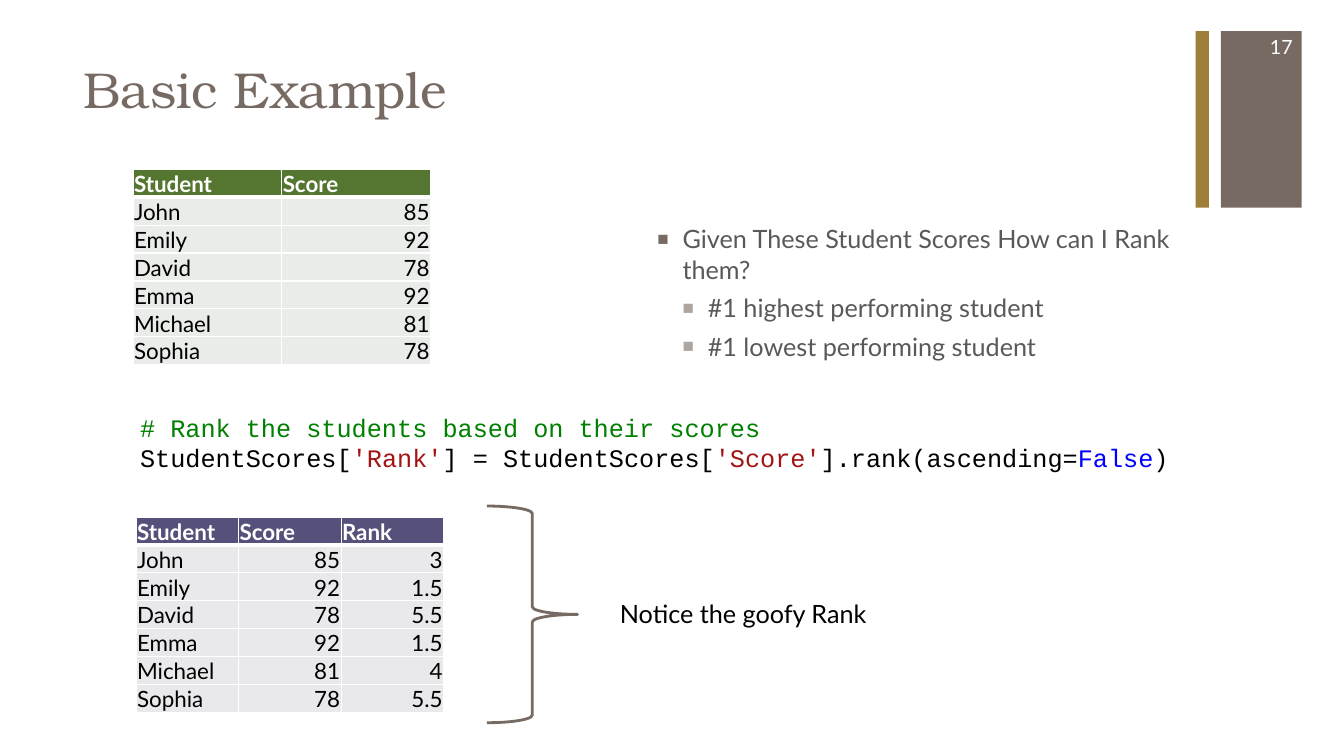
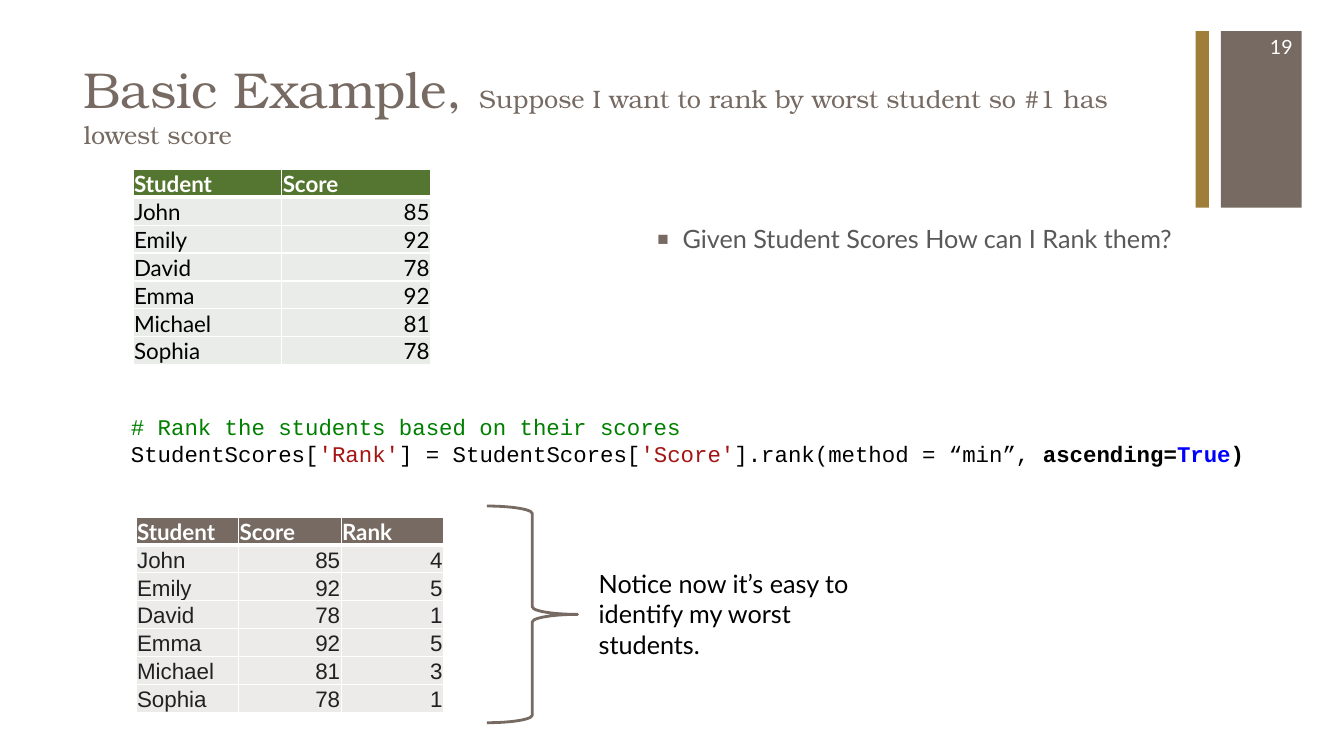
from dataclasses import dataclass

from lxml.etree import SubElement
from pptx import Presentation
from pptx.dml.color import RGBColor
from pptx.enum.shapes import MSO_SHAPE
from pptx.enum.text import MSO_ANCHOR, MSO_AUTO_SIZE, PP_ALIGN
from pptx.oxml.ns import qn
from pptx.util import Inches, Pt

# Shared palette and fonts
TAUPE, GOLD, WHITE, BLACK = "766A62", "9E7E38", "FFFFFF", "000000"
GREY, PALE_TAUPE = "595959", "AFA59F"
COMMENT, STRING, KEYWORD = "008000", "A31515", "0000FF"
BODY_FONT, TITLE_FONT, CODE_FONT = "Lato", "TeX Gyre Bonum", "Courier New"

STUDENTS = [("John", "85"), ("Emily", "92"), ("David", "78"),
            ("Emma", "92"), ("Michael", "81"), ("Sophia", "78")]


@dataclass
class Span:
    text: str
    color: str = BLACK
    bold: bool = False


@dataclass
class TableLook:
    header: str
    body: str
    font: str = BODY_FONT
    color: str = BLACK


@dataclass
class Box:
    left: float
    top: float
    width: float
    height: float

    def lengths(self) -> tuple:
        return tuple(Inches(v) for v in (self.left, self.top, self.width, self.height))


@dataclass
class Example:
    number: str
    title: list[tuple[str, int]]
    bullets: list[tuple[int, str]]
    code_box: Box
    code_size: int
    call: list[Span]
    ranks: list[str]
    rank_look: TableLook
    note_box: Box
    note: str


SCORE_LOOK = TableLook("557630", "E9ECE8")
EXAMPLES = [
    Example(
        "17", [("Basic Example", 36)],
        [(0, "Given These Student Scores How can I Rank them?"),
         (1, "#1 highest performing student"),
         (1, "#1 lowest performing student")],
        Box(1.29, 4.04, 10.82, 0.71), 18,
        [Span("].rank(ascending="), Span("False", KEYWORD), Span(")")],
        ["3", "1.5", "5.5", "1.5", "4", "5.5"], TableLook("55517B", "E9E9EC"),
        Box(6.05, 5.89, 2.8, 0.4), "Notice the goofy Rank"),
    Example(
        "19", [("Basic Example, ", 36),
               ("Suppose I want to rank by worst student so #1 has lowest score", 18)],
        [(0, "Given Student Scores How can I Rank them?")],
        Box(1.2, 4.05, 11.72, 0.64), 16,
        [Span("].rank(method = “min”, "), Span("ascending=", bold=True),
         Span("True", KEYWORD, True), Span(")", bold=True)],
        ["4", "5", "1", "5", "3", "1"], TableLook(TAUPE, "ECEBEA", "Arial", "212121"),
        Box(5.84, 5.59, 2.8, 1.01), "Notice now it’s easy to identify my worst students."),
]


def rgb(color: str) -> RGBColor:
    return RGBColor.from_string(color)


def style(r, size: float, color: str, font: str = BODY_FONT, bold: bool = False) -> None:
    r.font.size, r.font.name, r.font.bold = Pt(size), font, bold
    r.font.color.rgb = rgb(color)


def place(sp, box: Box) -> None:
    sp.left, sp.top, sp.width, sp.height = box.lengths()


def add_spans(p, spans: list[Span], size: float, font: str) -> None:
    for span in spans:
        r = p.add_run()
        r.text = span.text
        style(r, size, span.color, font, span.bold)


def add_text(slide, box: Box):
    tf = slide.shapes.add_textbox(*box.lengths()).text_frame
    tf.word_wrap = True
    return tf


def add_bands(slide, number: str) -> None:
    # Corner bands with the page number
    for left, width, color in ((12.11, 0.8, TAUPE), (11.86, 0.13, GOLD)):
        sp = slide.shapes.add_shape(MSO_SHAPE.RECTANGLE,
                                    *Box(left, 0.31, width, 1.75).lengths())
        sp.shadow.inherit = False
        sp.fill.solid()
        sp.fill.fore_color.rgb = rgb(color)
        sp.line.fill.background()
    tf = add_text(slide, Box(12.11, 0.26, 0.81, 0.4))
    tf.vertical_anchor = MSO_ANCHOR.MIDDLE
    p = tf.paragraphs[0]
    p.text, p.alignment = number, PP_ALIGN.RIGHT
    style(p.runs[0], 14, WHITE)


def fill_title(slide, parts: list[tuple[str, int]]) -> None:
    sp = slide.shapes.title
    place(sp, Box(0.73, 0.53, 11.02, 1.22))
    tf = sp.text_frame
    tf.auto_size, tf.vertical_anchor = MSO_AUTO_SIZE.NONE, MSO_ANCHOR.TOP
    p = tf.paragraphs[0]
    p.alignment = PP_ALIGN.LEFT
    for text, size in parts:
        add_spans(p, [Span(text, TAUPE)], size, TITLE_FONT)


def add_bullet(p, level: int) -> None:
    pPr = p._p.get_or_add_pPr()
    pPr.set("marL", str(Inches(0.25 * (level + 1))))
    pPr.set("indent", str(-Inches(0.25)))
    color = SubElement(pPr, qn("a:buClr"))
    SubElement(color, qn("a:srgbClr"), val=(TAUPE, PALE_TAUPE)[level])
    SubElement(pPr, qn("a:buSzPct"), val="75000")
    SubElement(pPr, qn("a:buFont"), typeface="Arial")
    SubElement(pPr, qn("a:buChar"), char="■")


def fill_body(slide, bullets: list[tuple[int, str]]) -> None:
    sp = slide.placeholders[1]
    place(sp, Box(6.42, 2.17, 5.33, 4.53))
    tf = sp.text_frame
    tf.auto_size = MSO_AUTO_SIZE.NONE
    for i, (level, text) in enumerate(bullets):
        p = tf.add_paragraph() if i else tf.paragraphs[0]
        p.text, p.level = text, level
        add_bullet(p, level)
        p.space_before = Pt(6 if i else 0)
        style(p.runs[0], 18, GREY)


def set_borders(cell, top: int, bottom: int) -> None:
    tcPr = cell._tc.get_or_add_tcPr()
    for i, (side, width) in enumerate((("L", 1), ("R", 1), ("T", top), ("B", bottom))):
        ln = SubElement(tcPr, qn(f"a:ln{side}"), w=str(Pt(width)))
        fill = SubElement(ln, qn("a:solidFill"))
        SubElement(fill, qn("a:srgbClr"), val=WHITE)
        tcPr.insert(i, ln)


def add_score_table(slide, box: Box, rows: list[tuple], look: TableLook) -> None:
    table = slide.shapes.add_table(len(rows), len(rows[0]), *box.lengths()).table
    table.horz_banding = False
    for i, row in enumerate(rows):
        header = i == 0
        for j, text in enumerate(row):
            cell = table.cell(i, j)
            cell.margin_left = cell.margin_right = cell.margin_top = Inches(0.01)
            cell.margin_bottom = 0
            cell.vertical_anchor = MSO_ANCHOR.BOTTOM
            cell.fill.solid()
            cell.fill.fore_color.rgb = rgb(look.header if header else look.body)
            set_borders(cell, 3 if i == 1 else 1, 3 if header else 1)
            p = cell.text_frame.paragraphs[0]
            p.text = text
            p.alignment = PP_ALIGN.RIGHT if j and not header else PP_ALIGN.LEFT
            if header:
                style(p.runs[0], 16, WHITE, bold=True)
            else:
                style(p.runs[0], 16, look.color, look.font)


def add_code(slide, ex: Example) -> None:
    tf = add_text(slide, ex.code_box)
    comment = [Span("# Rank the students based on their scores", COMMENT)]
    statement = [Span("StudentScores["), Span("'Rank'", STRING),
                 Span("] = StudentScores["), Span("'Score'", STRING), *ex.call]
    add_spans(tf.paragraphs[0], comment, ex.code_size, CODE_FONT)
    add_spans(tf.add_paragraph(), statement, ex.code_size, CODE_FONT)


def add_note(slide, box: Box, text: str) -> None:
    # Brace beside the ranked table, with its remark
    sp = slide.shapes.add_shape(MSO_SHAPE.RIGHT_BRACE, *Box(4.83, 5.02, 0.9, 2.15).lengths())
    sp.shadow.inherit = False
    sp.fill.background()
    sp.line.color.rgb, sp.line.width = rgb(TAUPE), Pt(2)
    p = add_text(slide, box).paragraphs[0]
    p.text = text
    style(p.runs[0], 18, BLACK)


def add_example(prs, ex: Example) -> None:
    slide = prs.slides.add_slide(prs.slide_layouts[1])
    add_bands(slide, ex.number)
    fill_title(slide, ex.title)
    fill_body(slide, ex.bullets)
    add_score_table(slide, Box(1.32, 1.68, 2.95, 1.94),
                    [("Student", "Score"), *STUDENTS], SCORE_LOOK)
    add_code(slide, ex)
    ranked = [(*student, rank) for student, rank in zip(STUDENTS, ex.ranks)]
    add_score_table(slide, Box(1.35, 5.13, 3.05, 1.94),
                    [("Student", "Score", "Rank"), *ranked], ex.rank_look)
    add_note(slide, ex.note_box, ex.note)


def main() -> None:
    prs = Presentation()
    prs.slide_width, prs.slide_height = Inches(13.33), Inches(7.5)
    for ex in EXAMPLES:
        add_example(prs, ex)
    prs.save("out.pptx")


if __name__ == "__main__":
    main()
